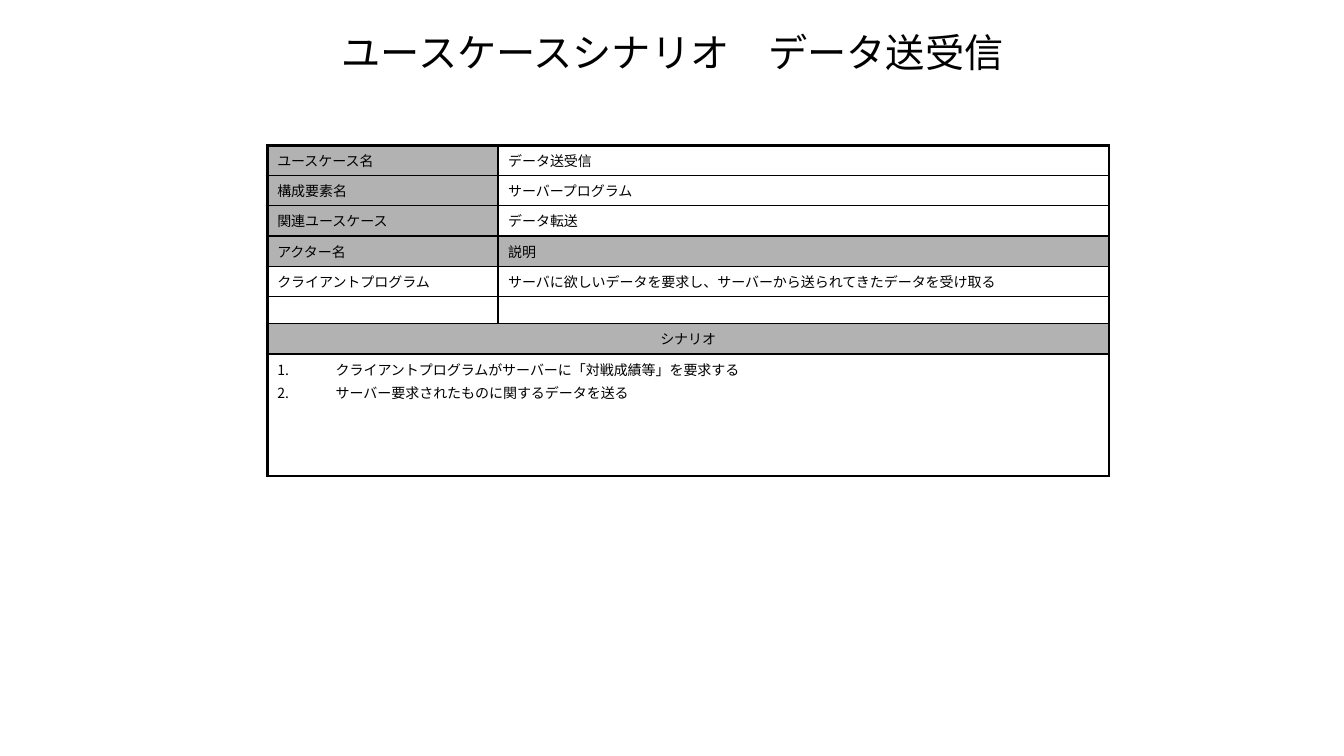
from lxml import etree
from pptx import Presentation
from pptx import util as u
from pptx.dml import color
from pptx.enum import text
from pptx.oxml import ns

GREY = "B2B2B2"
BLACK = "000000"


def rgb(value):
    return color.RGBColor.from_string(value)


class ScenarioDeck:
    font = "Times New Roman"
    columns, rows = 1333, 750
    thin, thick = 1, 2.25

    def __init__(self):
        self.deck = Presentation()
        self.deck.slide_width = u.Inches(13.33)
        self.deck.slide_height = u.Inches(7.5)
        self.page = self.deck.slides.add_slide(self.deck.slide_layouts[5])

    def across(self, count):
        return round(self.deck.slide_width * count / self.columns)

    def down(self, count):
        return round(self.deck.slide_height * count / self.rows)

    def style(self, para, size):
        for span in para.runs:
            span.font.name = self.font
            span.font.size = u.Pt(size)
            span.font.color.rgb = rgb(BLACK)

    def title(self, left, top, width, height, words):
        box = self.page.shapes.title
        box.left, box.top = self.across(left), self.down(top)
        box.width, box.height = self.across(width), self.down(height)
        frame = box.text_frame
        frame.text = words
        frame.auto_size = text.MSO_AUTO_SIZE.NONE
        frame.vertical_anchor = text.MSO_ANCHOR.MIDDLE
        frame.paragraphs[0].alignment = text.PP_ALIGN.CENTER
        self.style(frame.paragraphs[0], 28)

    def table(self, left, top, widths, heights):
        frame = self.page.shapes.add_table(
            len(heights), len(widths), self.across(left), self.down(top),
            self.across(sum(widths)), self.down(sum(heights)))
        grid = frame.table
        grid.first_row = grid.horz_banding = False
        for column, width in zip(grid.columns, widths):
            column.width = self.across(width)
        for row, height in zip(grid.rows, heights):
            row.height = self.down(height)
        for row in range(len(heights)):
            for column in range(len(widths)):
                self.border(grid.cell(row, column), {
                    "lnL": column == 0, "lnR": column == len(widths) - 1,
                    "lnT": row == 0, "lnB": row == len(heights) - 1})
        return grid

    def border(self, cell, outer_sides):
        properties = cell._tc.get_or_add_tcPr()
        for place, (side, outer) in enumerate(outer_sides.items()):
            line = etree.Element(ns.qn(f"a:{side}"))
            line.set("w", str(u.Pt(self.thick if outer else self.thin)))
            solid = etree.SubElement(line, ns.qn("a:solidFill"))
            etree.SubElement(solid, ns.qn("a:srgbClr"), val=BLACK)
            properties.insert(place, line)

    def cell(self, cell, words, fill=None, align=None):
        if fill:
            cell.fill.solid()
            cell.fill.fore_color.rgb = rgb(fill)
        else:
            cell.fill.background()
        cell.text_frame.text = words
        for para in cell.text_frame.paragraphs:
            para.space_before = u.Pt(2)
            para.alignment = align
            self.style(para, 10)
            if not para.runs:
                etree.SubElement(para._p, ns.qn("a:endParaRPr"), sz="1000")

    def number(self, cell, indent):
        for para in cell.text_frame.paragraphs:
            properties = para._p.get_or_add_pPr()
            properties.set("marL", str(self.across(indent)))
            properties.set("indent", str(-self.across(indent)))
            etree.SubElement(properties, ns.qn("a:buAutoNum"), type="arabicPeriod")


def main():
    scenario = ScenarioDeck()
    scenario.title(242, 27, 850, 48, "ユースケースシナリオ　データ送受信")

    entries = [
        ("ユースケース名", "データ送受信", GREY, None),
        ("構成要素名", "サーバープログラム", GREY, None),
        ("関連ユースケース", "データ転送", GREY, None),
        ("アクター名", "説明", GREY, GREY),
        ("クライアントプログラム",
         "サーバに欲しいデータを要求し、サーバーから送られてきたデータを受け取る", None, None),
        ("", "", None, None),
    ]
    steps = ["クライアントプログラムがサーバーに「対戦成績等」を要求する",
             "サーバー要求されたものに関するデータを送る"]

    heading_row = len(entries)
    steps_row = heading_row + 1
    grid = scenario.table(265, 144, [229, 606], [27] * steps_row + [121])
    for row, (label, detail, label_fill, detail_fill) in enumerate(entries):
        scenario.cell(grid.cell(row, 0), label, label_fill)
        scenario.cell(grid.cell(row, 1), detail, detail_fill)
    for row in (heading_row, steps_row):
        grid.cell(row, 0).merge(grid.cell(row, 1))
    scenario.cell(grid.cell(heading_row, 0), "シナリオ", GREY, text.PP_ALIGN.CENTER)
    scenario.cell(grid.cell(steps_row, 0), "\n".join(steps))
    scenario.number(grid.cell(steps_row, 0), 58)
    scenario.deck.save("out.pptx")


if __name__ == "__main__":
    main()
